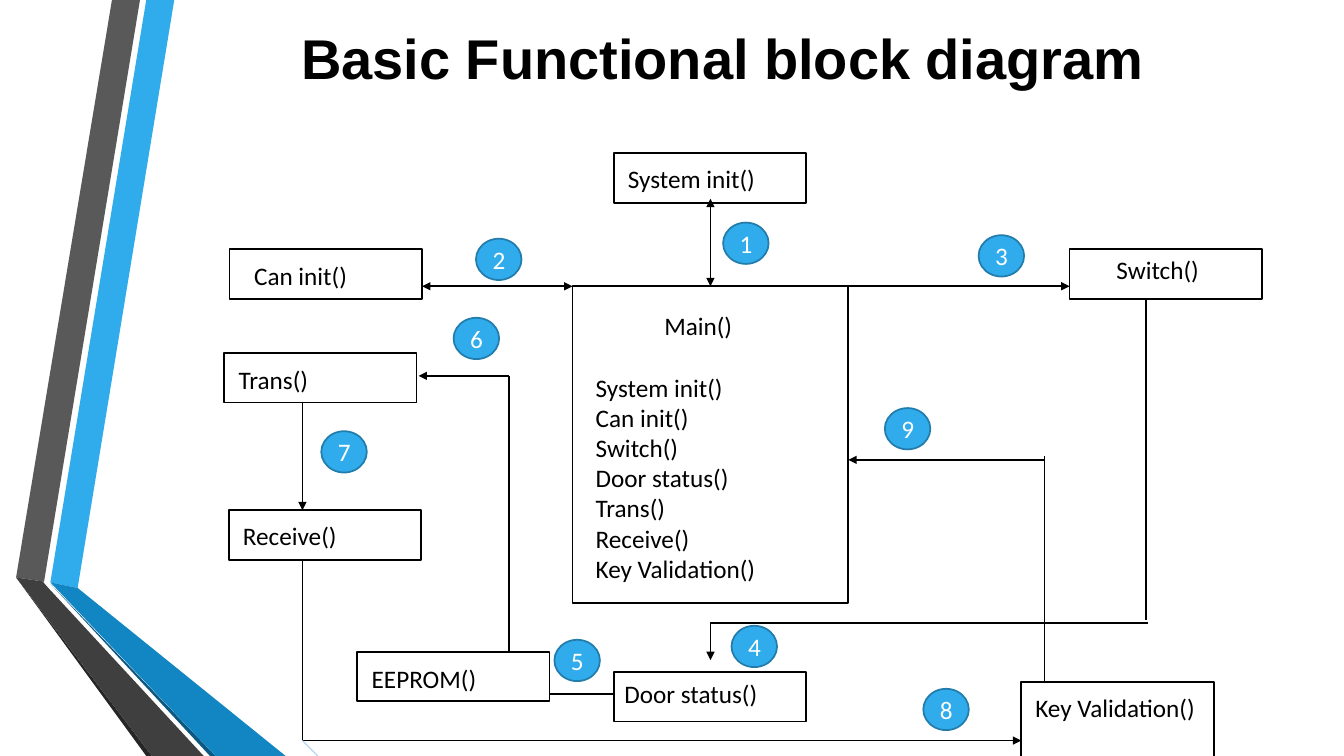
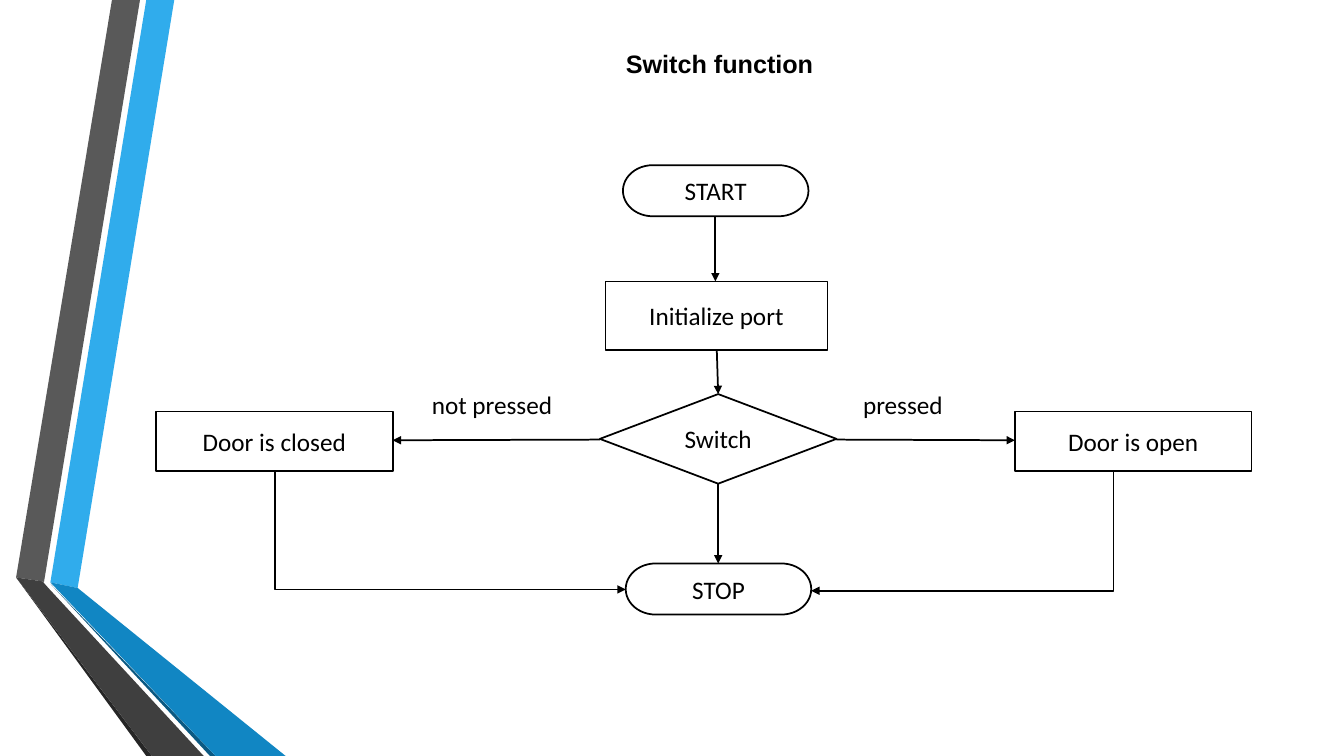
from pptx import Presentation
from pptx import util as u
from pptx.dml import color
from pptx.enum import shapes, text
from pptx.oxml import ns
from lxml import etree

BLACK, WHITE, BLUE, BLUE_EDGE, PALE = "000000", "FFFFFF", "30ACEC", "237DAC", "ABD2F4"
BODY, HEADING = "Calibri", "Arial"
BANDS = [
    (BLUE, [(36, 416), (55.5, 420), (124.5, 0), (104.5, 0)]),
    ("595959", [(100, 0), (80, 0), (11.5, 412.5), (31.5, 415.5)]),
    ("262626", [(11.5, 412.5), (104.5, 540), (108.5, 540)]),
    ("0B5982", [(36, 417), (150, 540), (154, 540)]),
    ("1186C3", [(36, 416), (154, 540), (204, 540), (55.5, 420)]),
    ("3F3F3F", [(145.5, 540), (34.5, 420), (31, 416), (31.5, 415.5), (11.5, 412.5), (108.5, 540)]),
]
CENTRED = {"vertical_anchor": text.MSO_ANCHOR.MIDDLE}
STEP = (137.5, 35.5)
BADGE = (32.5, 29.5)
TERMINATOR = (132.5, 36.5)
DOOR = (169, 42.5)


def rgb(hex_code):
    """Return the colour for a hex string."""
    return color.RGBColor.from_string(hex_code)


def apply(target, values):
    """Set each named format value on the target."""
    for name, value in values.items():
        setattr(target, name, value)


def paint(shape, fill, edge=None):
    """Give a shape its flat fill and its outline."""
    shape.shadow.inherit = False
    shape.fill.solid()
    shape.fill.fore_color.rgb = rgb(fill)
    if edge:
        shape.line.color.rgb = rgb(edge)
        shape.line.width = u.Pt(1.25)
    else:
        shape.line.fill.background()


def write(shape, lines, align=text.PP_ALIGN.CENTER, ink=BLACK, inset=(7.2, 3.6), frame=None, font=None):
    """Write the lines into a shape with one shared style."""
    left, top = inset
    body = shape.text_frame
    apply(body, {
        "word_wrap": True, "margin_left": u.Pt(left), "margin_top": u.Pt(top),
        "margin_right": 0 if align == text.PP_ALIGN.LEFT else u.Pt(left),
        "margin_bottom": u.Pt(3.6), "vertical_anchor": text.MSO_ANCHOR.TOP, **(frame or {}),
    })
    for index, line in enumerate(lines):
        paragraph = body.add_paragraph() if index else body.paragraphs[0]
        paragraph.alignment = align
        run = paragraph.add_run()
        run.text = line
        apply(run.font, {"name": BODY, "size": u.Pt(18), "bold": False, **(font or {})})
        run.font.color.rgb = rgb(ink)


class Region:
    """A part of a slide whose contents are placed from its own corner."""

    def __init__(self, slide, left, top):
        """Keep the slide and the corner."""
        self.shapes, self.left, self.top = slide.shapes, left, top

    def point(self, x, y):
        """Turn a place in the region into a place on the slide."""
        return u.Pt(self.left + x), u.Pt(self.top + y)

    def node(self, kind, at, size, fill=WHITE, edge=BLACK):
        """Add an outlined preset shape."""
        node = self.shapes.add_shape(kind, *self.point(*at), *map(u.Pt, size))
        paint(node, fill, edge)
        return node

    def label(self, at, size, lines, **style):
        """Add free text."""
        write(self.shapes.add_textbox(*self.point(*at), *map(u.Pt, size)), lines, **style)

    def link(self, start, end, ends=("tail",), elbow=False, ink=BLACK, weight=1.25):
        """Join two points with a line and the named arrowheads."""
        kind = shapes.MSO_CONNECTOR.ELBOW if elbow else shapes.MSO_CONNECTOR.STRAIGHT
        link = self.shapes.add_connector(kind, *self.point(*start), *self.point(*end))
        link.line.color.rgb = rgb(ink)
        link.line.width = u.Pt(weight)
        properties = link._element.spPr
        for end_name in ends:
            etree.SubElement(link.line._get_or_add_ln(), ns.qn(f"a:{end_name}End"), type="triangle")
        etree.SubElement(properties, ns.qn("a:effectLst"))
        if elbow:
            geometry = properties.find(ns.qn("a:prstGeom"))
            guides = geometry.find(ns.qn("a:avLst"))
            if guides is None:
                guides = etree.SubElement(geometry, ns.qn("a:avLst"))
            etree.SubElement(guides, ns.qn("a:gd"), name="adj1", fmla="val 0")


def add_bands(slide):
    """Draw the folded ribbons down the left side."""
    for fill, corners in BANDS:
        outline = [(u.Pt(x), u.Pt(y)) for x, y in corners]
        builder = slide.shapes.build_freeform(*outline[0], scale=1.0)
        builder.add_line_segments(outline[1:], close=True)
        paint(builder.convert_to_shape(), fill)


def add_title(slide, words, centre, middle, size):
    """Write the bold title around a centre point."""
    width, height = 780, 60
    Region(slide, centre - width / 2, middle - height / 2).label(
        (0, 0), (width, height), [words], frame=CENTRED,
        font={"name": HEADING, "size": u.Pt(size), "bold": True})


def add_main_block(region, at):
    """Draw the main block with the list of its calls."""
    main = region.node(shapes.MSO_SHAPE.RECTANGLE, at, (197, 226))
    calls = ["Main()", "System init()", "Can init()", "Switch()", "Door status()",
             "Trans()", "Receive()", "Key Validation()"]
    write(main, calls, align=text.PP_ALIGN.LEFT, inset=(16.5, 17.5))
    heading, first_call = main.text_frame.paragraphs[:2]
    heading._p.get_or_add_pPr().set("marL", str(u.Pt(49)))
    first_call.space_before = u.Pt(22)


def block_diagram(slide, left, top):
    """Draw the functional blocks, their links and the numbered steps."""
    region = Region(slide, left, top)
    add_main_block(region, (249, 95))
    steps = [
        ("System init()", (278.5, 0), STEP, (10, 7.5)),
        ("Can init()", (4, 68.5), STEP, (17.5, 8)),
        ("Trans()", (0, 142.5), STEP, (10.5, 8)),
        ("Receive()", (3.5, 255), STEP, (10, 7.5)),
        ("EEPROM()", (95, 356), STEP, (10.5, 8)),
        ("Door status()", (278.5, 370.5), STEP, (7.5, 4.5)),
        ("Key Validation()", (569.5, 377.5), (137.5, 55), (10, 7.5)),
        ("Switch()", (604, 68.5), STEP, (33.5, 4)),
    ]
    for name, at, size, inset in steps:
        block = region.node(shapes.MSO_SHAPE.RECTANGLE, at, size)
        write(block, [name], align=text.PP_ALIGN.LEFT, inset=inset)
    both, plain, arrow = ("head", "tail"), (), ("tail",)
    links = [
        ((347.5, 32.5), (347.5, 95), both),
        ((249, 95), (141.5, 95), both),
        ((446, 95), (604, 95), arrow),
        ((658.5, 104), (658.5, 333.5), plain),
        ((660, 335.5), (347.5, 335.5), plain),
        ((347.5, 335.5), (347.5, 362), arrow),
        ((232.5, 386), (278.5, 386), plain),
        ((203.5, 356), (203.5, 159), plain),
        ((203.5, 159), (139, 159), arrow),
        ((56, 178.5), (56, 255), arrow),
        ((56, 290.5), (56, 419.5), plain),
        ((56, 419.5), (569.5, 419.5), arrow),
        ((586, 377.5), (586, 216.5), plain),
        ((585.5, 219), (446, 219), arrow),
    ]
    for start, end, ends in links:
        region.link(start, end, ends)
    region.link((56, 419.5), (67, 430.5), plain, ink=PALE, weight=0.75)
    badges = [(356.5, 49.5), (180, 61), (539, 58.5), (362.5, 337.5), (236, 347.5),
              (164, 117.5), (69.5, 198.5), (499.5, 382.5), (472, 182)]
    for number, at in enumerate(badges, 1):
        badge = region.node(shapes.MSO_SHAPE.OVAL, at, BADGE, BLUE, BLUE_EDGE)
        write(badge, [str(number)], ink=WHITE, frame=CENTRED)


def switch_flow(slide, left, top):
    """Draw the flow chart of the switch function."""
    region = Region(slide, left, top)
    preset = shapes.MSO_SHAPE
    stages = [
        ("START", preset.FLOWCHART_TERMINATOR, (333.5, 0), TERMINATOR),
        ("STOP", preset.FLOWCHART_TERMINATOR, (335.5, 284.5), TERMINATOR),
        ("Initialize port", preset.FLOWCHART_PROCESS, (321, 83), (158.5, 49)),
        ("Switch", preset.FLOWCHART_DECISION, (317, 163.5), (169, 64)),
        ("Door is open", preset.FLOWCHART_PROCESS, (613.5, 176), DOOR),
        ("Door is closed", preset.FLOWCHART_PROCESS, (0, 176), DOOR),
    ]
    for name, kind, at, size in stages:
        write(region.node(kind, at, size), [name], frame=CENTRED)
    for answer, x in (("not pressed", 197), ("pressed", 505)):
        region.label((x, 160), (100, 22), [answer], align=text.PP_ALIGN.LEFT, inset=(0, 0))
    links = [
        ((399.5, 36.5), (399.5, 83)),
        ((400.5, 132), (401.5, 163.5)),
        ((401.5, 227.5), (401.5, 284.5)),
        ((317, 196), (169, 196.5)),
        ((486, 196), (613.5, 196.5)),
    ]
    for start, end in links:
        region.link(start, end)
    region.link((85, 218.5), (335.5, 303), elbow=True)
    region.link((684, 218.5), (468, 304), elbow=True)


def main():
    """Build both slides and save the presentation."""
    deck = Presentation()
    apply(deck, {"slide_width": u.Pt(960), "slide_height": u.Pt(540)})
    pages = [
        (("Basic Functional block diagram", 516, 41, 40), block_diagram, (160, 109.5)),
        (("Switch function", 514, 45.5, 18), switch_flow, (111.5, 118)),
    ]
    for title, draw, corner in pages:
        slide = deck.slides.add_slide(deck.slide_layouts[6])
        add_bands(slide)
        add_title(slide, *title)
        draw(slide, *corner)
    deck.save("out.pptx")


if __name__ == "__main__":
    main()
